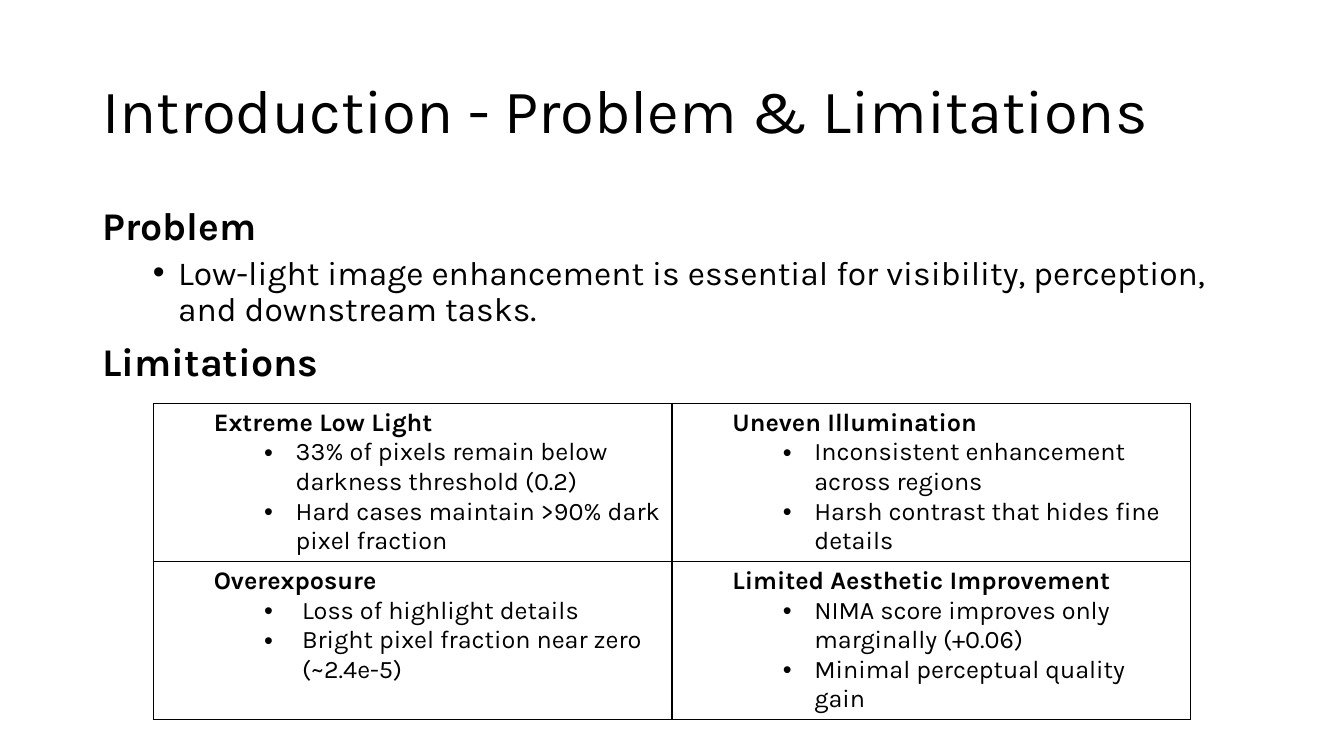
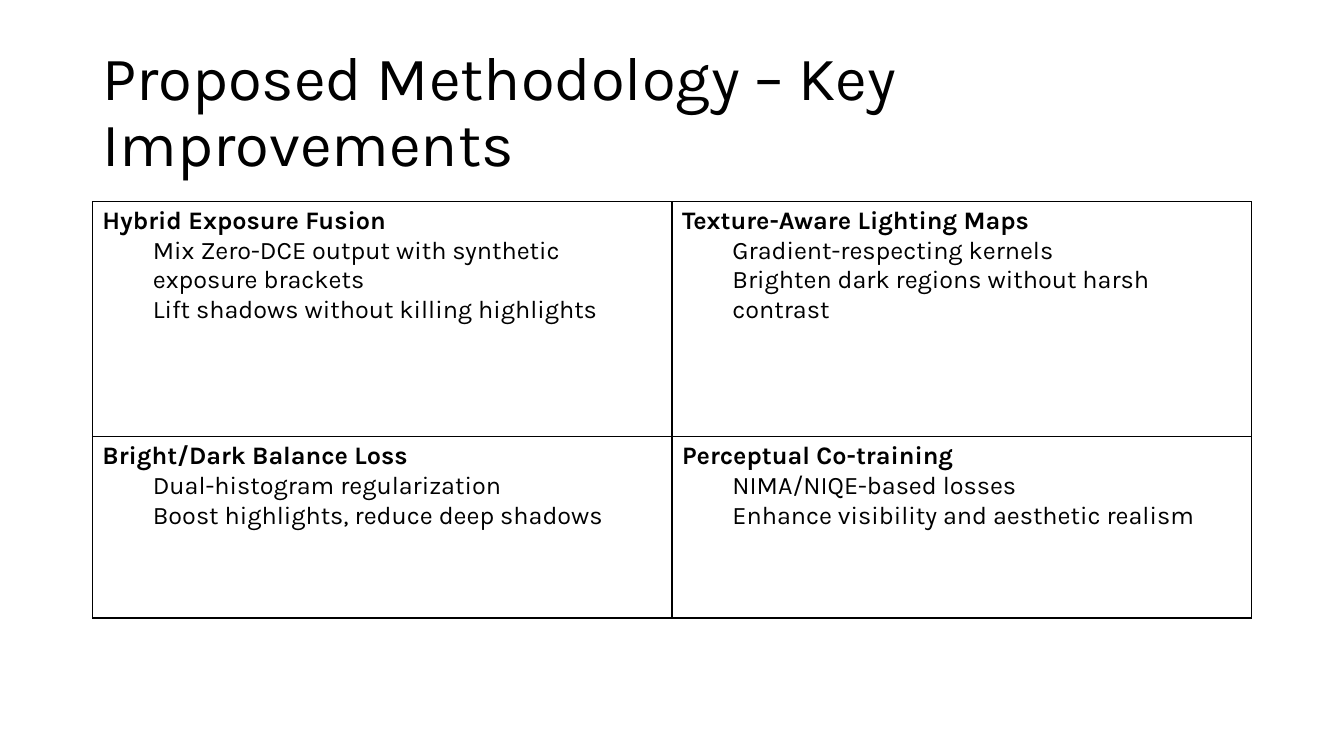
from lxml import etree
from pptx import Presentation
from pptx.dml.color import RGBColor
from pptx.enum.text import MSO_ANCHOR, MSO_AUTO_SIZE, PP_ALIGN
from pptx.oxml.ns import qn
from pptx.util import Pt

LEFT = PP_ALIGN.LEFT
MIDDLE = MSO_ANCHOR.MIDDLE
TOP = MSO_ANCHOR.TOP
NO_AUTOFIT = MSO_AUTO_SIZE.NONE

TITLE_ONLY = 5
TITLE_AND_BODY = 1
COLORS = {"text": "000000", "border": "000000", "background": "FFFFFF"}
FONT = "Karla"


def write_paragraph(paragraph, text, size=18, bold=False, level=0, indent=0,
                    hang=0, bullet=None, line_spacing=1.0, before=0):
    paragraph.alignment = LEFT
    paragraph.level = level
    paragraph.line_spacing = line_spacing
    paragraph.space_before = Pt(before)
    paragraph.space_after = Pt(0)
    properties = paragraph._p.get_or_add_pPr()
    properties.set("marL", str(Pt(indent)))
    properties.set("indent", str(Pt(-hang)))
    if bullet:
        etree.SubElement(properties, qn("a:buFont"), typeface="Arial")
        etree.SubElement(properties, qn("a:buChar"), char=bullet)
    else:
        etree.SubElement(properties, qn("a:buNone"))
    run = paragraph.add_run()
    run.text = text
    run.font.name = FONT
    run.font.size = Pt(size)
    run.font.bold = bold
    run.font.color.rgb = RGBColor.from_string(COLORS["text"])


def write_frame(frame, lines):
    frame.word_wrap = True
    for number, (text, style) in enumerate(lines):
        paragraph = frame.add_paragraph() if number else frame.paragraphs[0]
        write_paragraph(paragraph, text, **style)


def draw_borders(cell, width=1):
    properties = cell._tc.get_or_add_tcPr()
    for position, side in enumerate(("lnL", "lnR", "lnT", "lnB")):
        line = etree.Element(qn(f"a:{side}"), w=str(Pt(width)))
        fill = etree.SubElement(line, qn("a:solidFill"))
        etree.SubElement(fill, qn("a:srgbClr"), val=COLORS["border"])
        properties.insert(position, line)


class Deck:
    margin = 66
    content_width = 828
    content_top = 144
    title_style = {"size": 44, "line_spacing": 0.9}
    heading_style = {"size": 28, "bold": True, "line_spacing": 0.9, "before": 10}
    point_style = {"size": 24, "level": 1, "indent": 54, "hang": 18,
                   "bullet": "•", "line_spacing": 0.9, "before": 5}

    def __init__(self):
        self.presentation = Presentation()
        self.presentation.slide_width = Pt(960)
        self.presentation.slide_height = Pt(540)
        self.slide = None

    def add_slide(self, title, layout):
        layouts = self.presentation.slide_layouts
        self.slide = self.presentation.slides.add_slide(layouts[layout])
        background = self.slide.background.fill
        background.solid()
        background.fore_color.rgb = RGBColor.from_string(COLORS["background"])
        self.fill_placeholder(self.slide.shapes.title, 28.75, 104.4, MIDDLE,
                              [(title, self.title_style)])

    def fill_placeholder(self, holder, top, height, anchor, lines):
        holder.left, holder.top = Pt(self.margin), Pt(top)
        holder.width, holder.height = Pt(self.content_width), Pt(height)
        holder.text_frame.auto_size = NO_AUTOFIT
        holder.text_frame.vertical_anchor = anchor
        write_frame(holder.text_frame, lines)

    def add_body(self, lines):
        self.fill_placeholder(self.slide.placeholders[1], self.content_top, 342.7,
                              TOP, lines)

    def add_grid(self, left, top, width, row_heights, rows):
        columns = len(rows[0])
        table = self.slide.shapes.add_table(
            len(rows), columns, Pt(left), Pt(top), Pt(width),
            Pt(sum(row_heights))).table
        table.first_row = False
        table.horz_banding = False
        for column in table.columns:
            column.width = Pt(width / columns)
        for row, height in zip(table.rows, row_heights):
            row.height = Pt(height)
        for row, cells in zip(table.rows, rows):
            for cell, lines in zip(row.cells, cells):
                cell.fill.background()
                draw_borders(cell)
                write_frame(cell.text_frame, lines)

    def save(self):
        self.presentation.save("out.pptx")


def limitation(heading, *points, hang=22.5):
    heading_style = {"bold": True, "level": 1, "indent": 36}
    point_style = {"level": 2, "indent": 72 + hang, "hang": hang, "bullet": "•"}
    return [(heading, heading_style)] + [(point, point_style) for point in points]


def improvement(heading, *points):
    point_style = {"level": 1, "indent": 36}
    return [(heading, {"bold": True})] + [(point, point_style) for point in points]


def add_introduction(deck):
    deck.add_slide("Introduction - Problem & Limitations", TITLE_AND_BODY)
    deck.add_body([
        ("Problem", deck.heading_style),
        ("Low-light image enhancement is essential for visibility, perception, "
         "and downstream tasks.", deck.point_style),
        ("Limitations", deck.heading_style),
    ])
    deck.add_grid(109.5, 288, 741, (113, 113), [
        [limitation("Extreme Low Light",
                    "33% of pixels remain below darkness threshold (0.2)",
                    "Hard cases maintain >90% dark pixel fraction"),
         limitation("Uneven Illumination",
                    "Inconsistent enhancement across regions",
                    "Harsh contrast that hides fine details")],
        [limitation("Overexposure",
                    "Loss of highlight details",
                    "Bright pixel fraction near zero (~2.4e-5)", hang=27),
         limitation("Limited Aesthetic Improvement",
                    "NIMA score improves only marginally (+0.06)",
                    "Minimal perceptual quality gain")],
    ])


def add_methodology(deck):
    deck.add_slide("Proposed Methodology – Key Improvements", TITLE_ONLY)
    deck.add_grid(deck.margin, deck.content_top, deck.content_width, (168, 129.5), [
        [improvement("Hybrid Exposure Fusion",
                     "Mix Zero-DCE output with synthetic exposure brackets",
                     "Lift shadows without killing highlights"),
         improvement("Texture-Aware Lighting Maps",
                     "Gradient-respecting kernels",
                     "Brighten dark regions without harsh contrast")],
        [improvement("Bright/Dark Balance Loss",
                     "Dual-histogram regularization",
                     "Boost highlights, reduce deep shadows"),
         improvement("Perceptual Co-training",
                     "NIMA/NIQE-based losses",
                     "Enhance visibility and aesthetic realism")],
    ])


def main():
    deck = Deck()
    add_introduction(deck)
    add_methodology(deck)
    deck.save()


if __name__ == "__main__":
    main()
